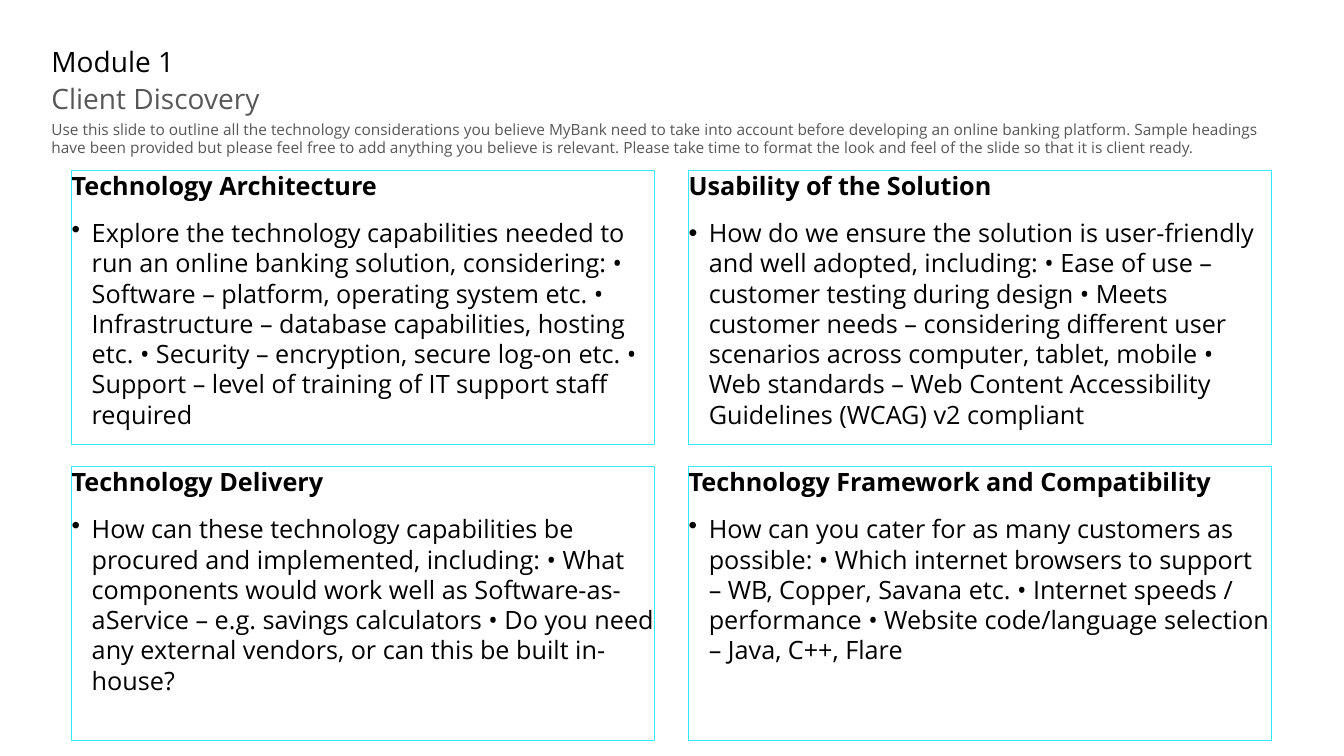
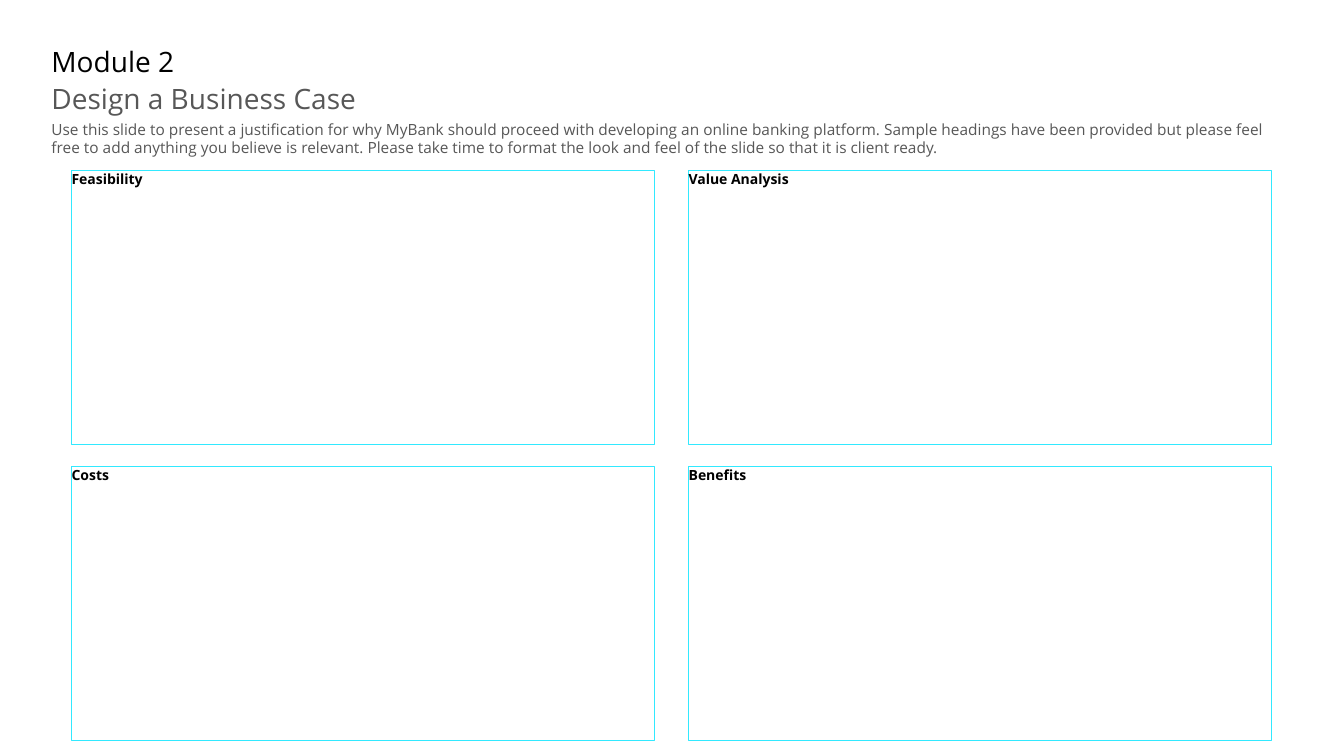
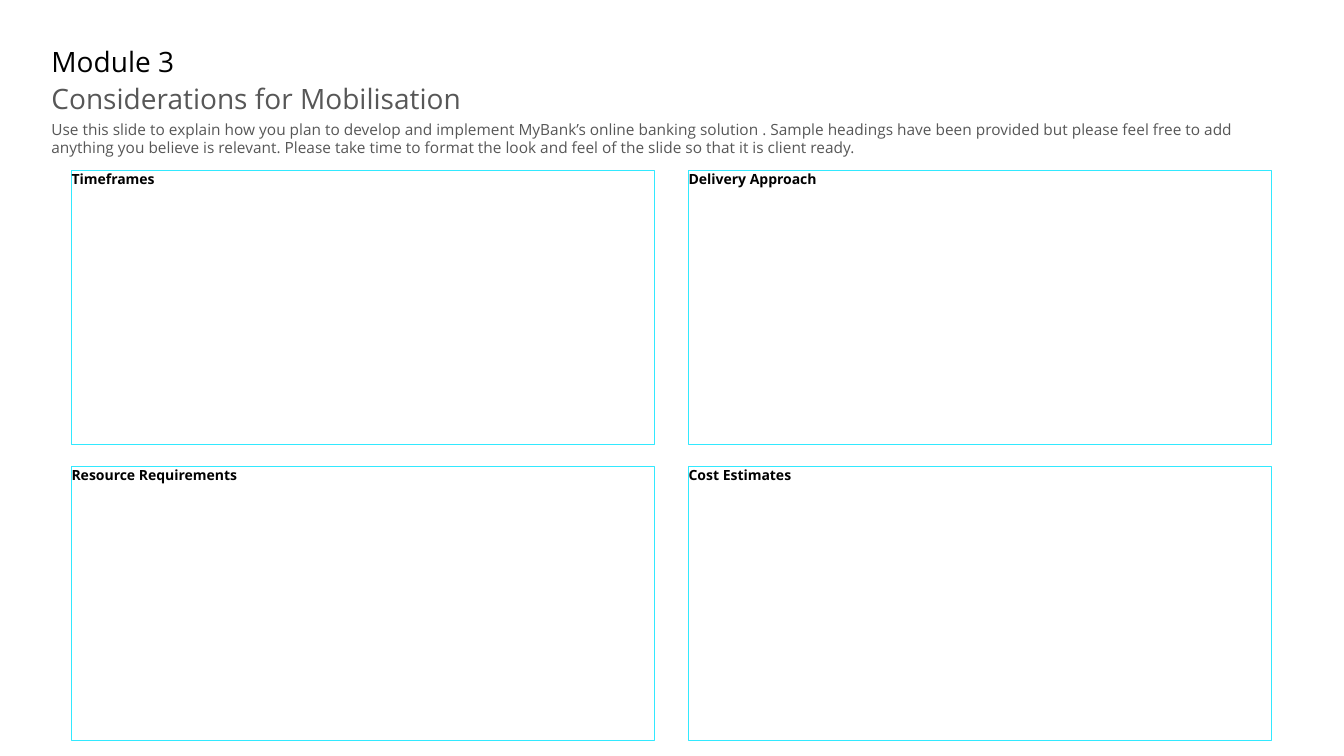
import pptx
import pptx.dml.color
import pptx.enum.shapes
import pptx.enum.text
import pptx.oxml
import pptx.oxml.ns
import pptx.util

FONT = "Open Sans"
BLACK, GREY, CYAN = "000000", "575757", "32E9FF"

MARGIN = 0.51
GRID_LEFT, GRID_TOP = 0.71, 1.69
PANEL_WIDTH, PANEL_HEIGHT = 5.78, 2.72
COLUMN_STEP, ROW_STEP = 6.12, 2.94
BULLET_INDENT = 0.2

REMINDER = (
    "Sample headings have been provided but please feel free to add anything "
    "you believe is relevant. Please take time to format the look and feel of "
    "the slide so that it is client ready."
)

# Panels run left to right, then top to bottom: (heading, detail).
MODULES = [
    {
        "title": "Module 1",
        "topic": "Client Discovery",
        "purpose": "Use this slide to outline all the technology considerations "
                   "you believe MyBank need to take into account before "
                   "developing an online banking platform.",
        "size": 18,
        "panels": [
            ("Technology Architecture",
             "Explore the technology capabilities needed to run an online "
             "banking solution, considering: • Software – platform, operating "
             "system etc. • Infrastructure – database capabilities, hosting "
             "etc. • Security – encryption, secure log-on etc. • Support – "
             "level of training of IT support staff required"),
            ("Usability of the Solution",
             "How do we ensure the solution is user-friendly and well adopted, "
             "including: • Ease of use – customer testing during design • Meets "
             "customer needs – considering different user scenarios across "
             "computer, tablet, mobile • Web standards – Web Content "
             "Accessibility Guidelines (WCAG) v2 compliant"),
            ("Technology Delivery",
             "How can these technology capabilities be procured and "
             "implemented, including: • What components would work well as "
             "Software-as-aService – e.g. savings calculators • Do you need any "
             "external vendors, or can this be built in-house?"),
            ("Technology Framework and Compatibility",
             "How can you cater for as many customers as possible: • Which "
             "internet browsers to support – WB, Copper, Savana etc. • Internet "
             "speeds / performance • Website code/language selection – Java, "
             "C++, Flare"),
        ],
    },
    {
        "title": "Module 2",
        "topic": "Design a Business Case",
        "purpose": "Use this slide to present a justification for why MyBank "
                   "should proceed with developing an online banking platform.",
        "size": 10,
        "panels": [("Feasibility", ""), ("Value Analysis", ""),
                   ("Costs", ""), ("Benefits", "")],
    },
    {
        "title": "Module 3",
        "topic": "Considerations for Mobilisation",
        "purpose": "Use this slide to explain how you plan to develop and "
                   "implement MyBank’s online banking solution .",
        "size": 10,
        "panels": [("Timeframes", ""), ("Delivery Approach", ""),
                   ("Resource Requirements", ""), ("Cost Estimates", "")],
    },
]


def colour(hex_code):
    """Turn a hex string into a colour."""
    return pptx.dml.color.RGBColor.from_string(hex_code)


def place(box, left, top, width, height):
    """Move and size a box, in inches."""
    box.left, box.top = pptx.util.Inches(left), pptx.util.Inches(top)
    box.width, box.height = pptx.util.Inches(width), pptx.util.Inches(height)


def prepare_frame(box):
    """Give a box wrapped, top-anchored text without margins."""
    frame = box.text_frame
    frame.word_wrap = True
    frame.auto_size = pptx.enum.text.MSO_AUTO_SIZE.NONE
    frame.vertical_anchor = pptx.enum.text.MSO_ANCHOR.TOP
    frame.margin_left = frame.margin_right = 0
    frame.margin_top = frame.margin_bottom = 0
    return frame


def write(paragraph, words, size, ink, bold=False, before=0, after=0,
          bullet=False):
    """Fill a paragraph with one formatted run, bulleted or plain."""
    paragraph.alignment = pptx.enum.text.PP_ALIGN.LEFT
    paragraph.line_spacing = 1.0
    paragraph.space_before = pptx.util.Pt(before)
    paragraph.space_after = pptx.util.Pt(after)
    properties = paragraph._p.get_or_add_pPr()
    indent = pptx.util.Inches(BULLET_INDENT) if bullet else 0
    properties.set("marL", str(indent))
    properties.set("indent", str(-indent))
    mark = 'a:buChar char="•"' if bullet else "a:buNone"
    properties.append(pptx.oxml.parse_xml(
        f"<{mark} {pptx.oxml.ns.nsdecls('a')}/>"))
    run = paragraph.add_run()
    run.text = words
    run.font.name = FONT
    run.font.size = pptx.util.Pt(size)
    run.font.bold = bold
    run.font.color.rgb = colour(ink)


def add_heading(slide, topic_box, module):
    """Write the module title, its topic and the introduction."""
    place(slide.shapes.title, MARGIN, 0.44, 10.02, 0.37)
    write(prepare_frame(slide.shapes.title).paragraphs[0],
          module["title"], 20, BLACK)
    place(topic_box, MARGIN, 0.81, 10.02, 0.41)
    write(prepare_frame(topic_box).paragraphs[0],
          module["topic"], 20, GREY, after=10)
    introduction = slide.shapes.add_textbox(0, 0, 0, 0)
    place(introduction, MARGIN, 1.19, 12.32, 0.44)
    write(prepare_frame(introduction).paragraphs[0],
          f"{module['purpose']} {REMINDER}", 11, GREY, after=10)


def add_rectangle(slide):
    """Add a plain rectangle without shadow."""
    rectangle = slide.shapes.add_shape(
        pptx.enum.shapes.MSO_SHAPE.RECTANGLE, 0, 0, 0, 0)
    rectangle.shadow.inherit = False
    return rectangle


def fill_panel(panel, position, heading, detail, size):
    """Outline a panel in its grid cell and write its heading and detail."""
    row, column = divmod(position, 2)
    place(panel, GRID_LEFT + column * COLUMN_STEP, GRID_TOP + row * ROW_STEP,
          PANEL_WIDTH, PANEL_HEIGHT)
    panel.fill.background()
    panel.line.color.rgb = colour(CYAN)
    panel.line.width = pptx.util.Pt(0.75)
    frame = prepare_frame(panel)
    frame.paragraphs[0].level = 1
    write(frame.paragraphs[0], heading, size, BLACK, bold=True,
          before=6, after=6)
    if detail:
        paragraph = frame.add_paragraph()
        paragraph.level = 2
        write(paragraph, detail, size, BLACK, before=6, after=6, bullet=True)


def add_module(deck, module):
    """Build one module slide with its heading and four panels."""
    slide = deck.slides.add_slide(deck.slide_layouts.get_by_name("Two Content"))
    _, main_panel, topic_box = slide.placeholders
    add_heading(slide, topic_box, module)
    for position, (heading, detail) in enumerate(module["panels"]):
        panel = main_panel if position == 1 else add_rectangle(slide)
        fill_panel(panel, position, heading, detail, module["size"])


def main():
    """Build and save the deck."""
    deck = pptx.Presentation()
    deck.slide_width = pptx.util.Inches(13.33)
    deck.slide_height = pptx.util.Inches(7.5)
    for module in MODULES:
        add_module(deck, module)
    deck.save("out.pptx")


main()
